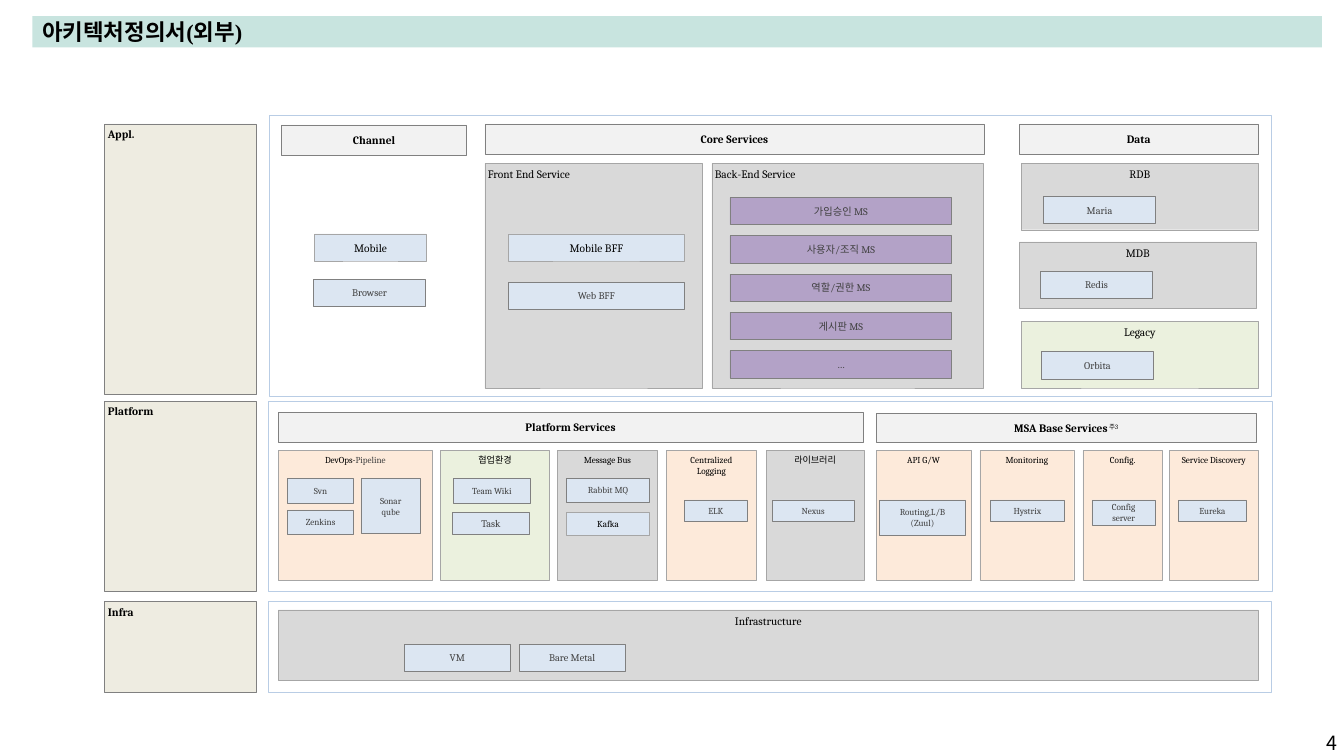
from dataclasses import dataclass

from pptx import Presentation
from pptx.dml.color import RGBColor
from pptx.enum.shapes import MSO_SHAPE
from pptx.enum.text import MSO_ANCHOR, MSO_AUTO_SIZE, PP_ALIGN
from pptx.util import Inches, Pt

RECT = MSO_SHAPE.RECTANGLE
TOP, MIDDLE = MSO_ANCHOR.TOP, MSO_ANCHOR.MIDDLE
LEFT, CENTER, RIGHT = PP_ALIGN.LEFT, PP_ALIGN.CENTER, PP_ALIGN.RIGHT
NO_FIT = MSO_AUTO_SIZE.NONE


@dataclass(frozen=True)
class Theme:
    """Colours, fonts and type sizes of the slide."""
    title_bar: str = "C8E4DF"
    frame: str = "B9CDE5"
    header: str = "F2F2F2"
    stage: str = "EEECE1"
    grey: str = "D9D9D9"
    green: str = "EBF1DE"
    orange: str = "FDEADA"
    blue: str = "DCE6F2"
    purple: str = "B3A2C7"
    strong_line: str = "808080"
    soft_line: str = "A6A6A6"
    black: str = "000000"
    dark: str = "404040"
    font: str = "Cambria"
    title_font: str = "Times New Roman"
    number_font: str = "Noto Sans CJK KR"
    title: float = 16
    number: float = 14
    large: float = 8.1
    medium: float = 7.3
    small: float = 6.5


T = Theme()


@dataclass(frozen=True)
class Box:
    """A rectangle in inches."""
    x: float
    y: float
    w: float
    h: float

    def sub(self, x, y, w, h):
        """Return a box placed relative to this one."""
        return Box(self.x + x, self.y + y, w, h)

    def lengths(self):
        """Return the four lengths for a shape call."""
        return [Inches(v) for v in (self.x, self.y, self.w, self.h)]


def style_run(r, size, color, bold=False, font=T.font):
    """Format one run."""
    r.font.name = font
    r.font.size = Pt(size)
    r.font.bold = bold
    r.font.color.rgb = RGBColor.from_string(color)


def rect(s, box, line, width, fill=None):
    """Add a rectangle with an optional fill."""
    sp = s.shapes.add_shape(RECT, *box.lengths())
    sp.shadow.inherit = False
    if fill:
        sp.fill.solid()
        sp.fill.fore_color.rgb = RGBColor.from_string(fill)
    else:
        sp.fill.background()
    sp.line.color.rgb = RGBColor.from_string(line)
    sp.line.width = Pt(width)
    return sp


def label(sp, text, size, color, bold=False, anchor=MIDDLE, align=CENTER, inset=0.03):
    """Write a text in a shape and return its last paragraph."""
    tf = sp.text_frame
    tf.word_wrap = True
    tf.vertical_anchor = anchor
    tf.margin_left = tf.margin_right = Inches(0.03)
    tf.margin_top = tf.margin_bottom = Inches(inset)
    tf.text = text
    for p in tf.paragraphs:
        p.alignment = align
        for r in p.runs:
            style_run(r, size, color, bold)
    return p


def frame(s, box):
    """Add the outline of a layer."""
    rect(s, box, T.frame, 0.75)


def header(s, box, text):
    """Add a bold column header."""
    return label(rect(s, box, T.strong_line, 0.5, T.header), text, T.large, T.black, True)


def stage(s, box, text):
    """Add the name block of a layer."""
    sp = rect(s, box, T.strong_line, 0.5, T.stage)
    label(sp, text, T.large, T.black, True, TOP, LEFT)


def panel(s, box, text, fill=T.grey, size=T.large, align=CENTER):
    """Add a group panel with its heading at the top."""
    sp = rect(s, box, T.soft_line, 0.25, fill)
    return label(sp, text, size, T.black, anchor=TOP, align=align, inset=0.04)


def item(s, box, text, size=T.medium, fill=T.blue):
    """Add a component box."""
    label(rect(s, box, T.strong_line, 0.5, fill), text, size, T.dark)


def key_item(s, box, text, size=T.large):
    """Add a component box with black text and a soft outline."""
    label(rect(s, box, T.soft_line, 0.25, T.blue), text, size, T.black, inset=0.04)


def title_bar(s, box, text):
    """Place and format the title placeholder."""
    sp = s.shapes.title
    sp.left, sp.top, sp.width, sp.height = box.lengths()
    sp.fill.solid()
    sp.fill.fore_color.rgb = RGBColor.from_string(T.title_bar)
    tf = sp.text_frame
    tf.text = text
    tf.auto_size = NO_FIT
    tf.vertical_anchor = MIDDLE
    p = tf.paragraphs[0]
    p.alignment = LEFT
    style_run(p.runs[0], T.title, T.black, True, T.title_font)


def page_number(s, box, text):
    """Add the page number."""
    tf = s.shapes.add_textbox(*box.lengths()).text_frame
    tf.word_wrap = True
    tf.vertical_anchor = MIDDLE
    tf.text = text
    p = tf.paragraphs[0]
    p.alignment = RIGHT
    style_run(p.runs[0], T.number, T.black, font=T.number_font)


def application_layer(s, box):
    """Draw channels, core services and data stores."""
    frame(s, box)
    header(s, box.sub(0.12, 0.09, 1.84, 0.3), "Channel")
    header(s, box.sub(2.14, 0.08, 4.95, 0.3), "Core Services")
    header(s, box.sub(7.44, 0.08, 2.37, 0.3), "Data")
    key_item(s, box.sub(0.45, 1.17, 1.11, 0.27), "Mobile")
    item(s, box.sub(0.44, 1.62, 1.11, 0.27), "Browser")

    front = box.sub(2.14, 0.47, 2.16, 2.23)
    panel(s, front, "Front End Service", align=LEFT)
    key_item(s, front.sub(0.23, 0.7, 1.75, 0.27), "Mobile BFF")
    item(s, front.sub(0.23, 1.18, 1.75, 0.27), "Web BFF")

    back = box.sub(4.39, 0.47, 2.69, 2.23)
    panel(s, back, "Back-End Service", align=LEFT)
    for i, name in enumerate(("가입승인 MS", "사용자/조직 MS", "역할/권한 MS", "게시판 MS", "…")):
        item(s, back.sub(0.18, 0.34 + 0.38 * i, 2.2, 0.27), name, fill=T.purple)

    for x, y, name, fill, dx, dy, store in (
            (7.46, 0.47, "RDB", T.grey, 0.22, 0.33, "Maria"),
            (7.44, 1.25, "MDB", T.grey, 0.21, 0.29, "Redis"),
            (7.46, 2.04, "Legacy", T.green, 0.2, 0.3, "Orbita")):
        data = box.sub(x, y, 2.35, 0.66)
        panel(s, data, name, fill)
        item(s, data.sub(dx, dy, 1.11, 0.27), store)


def platform_layer(s, box):
    """Draw platform services and MSA base services."""
    frame(s, box)
    header(s, box.sub(0.1, 0.11, 5.8, 0.3), "Platform Services")
    r = header(s, box.sub(6.03, 0.12, 3.77, 0.29), "MSA Base Services").add_run()
    r.text = " 주3"
    style_run(r, T.large, T.black)
    r.font._element.set("baseline", "30000")

    for x, w, name, fill, tools in (
            (0.1, 1.53, "DevOps-", T.orange, (
                ("Svn", 0.09, 0.28, 0.66, 0.24), ("Zenkins", 0.09, 0.59, 0.66, 0.24),
                ("Sonar\vqube", 0.82, 0.28, 0.59, 0.54))),
            (1.71, 1.08, "협업환경", T.green, (("Team Wiki", 0.13, 0.28, 0.76, 0.24),)),
            (2.87, 0.99, "Message Bus", T.grey, (("Rabbit MQ", 0.09, 0.28, 0.82, 0.23),)),
            (3.95, 0.89, "Centralized\nLogging", T.orange, (("ELK", 0.18, 0.49, 0.62, 0.21),)),
            (4.94, 0.97, "라이브러리", T.grey, (("Nexus", 0.06, 0.49, 0.81, 0.21),)),
            (6.03, 0.94, "API G/W", T.orange, (("Routing,L/B\n(Zuul)", 0.03, 0.49, 0.86, 0.35),)),
            (7.06, 0.93, "Monitoring", T.orange, (("Hystrix", 0.1, 0.49, 0.74, 0.21),)),
            (8.08, 0.79, "Config.", T.orange, (("Config\vserver", 0.09, 0.49, 0.63, 0.25),)),
            (8.94, 0.88, "Service Discovery", T.orange, (("Eureka", 0.09, 0.49, 0.67, 0.21),))):
        group = box.sub(x, 0.49, w, 1.29)
        p = panel(s, group, name, fill, T.small)
        if name == "DevOps-":
            r = p.add_run()
            r.text = "Pipeline"
            style_run(r, T.small, T.dark)
        for tool, *place in tools:
            item(s, group.sub(*place), tool, T.small)
    item(s, box.sub(1.83, 1.1, 0.76, 0.22), "Task")
    key_item(s, box.sub(2.96, 1.1, 0.82, 0.23), "Kafka", T.small)


def infra_layer(s, box):
    """Draw the infrastructure layer."""
    frame(s, box)
    infra = box.sub(0.1, 0.08, 9.72, 0.7)
    panel(s, infra, "Infrastructure")
    for i, name in enumerate(("VM", "Bare Metal")):
        item(s, infra.sub(1.25 + 1.14 * i, 0.34, 1.05, 0.27), name)


def main():
    """Build the slide and save it."""
    prs = Presentation()
    prs.slide_width, prs.slide_height = Inches(13.33), Inches(7.5)
    s = prs.slides.add_slide(prs.slide_layouts[5])
    title_bar(s, Box(0.32, 0.16, 12.79, 0.31), "아키텍처정의서(외부)")
    for name, y, h in (("Appl.", 1.23, 2.68), ("Platform", 3.98, 1.89), ("Infra", 5.97, 0.9)):
        stage(s, Box(1.04, y, 1.5, h), name)
    application_layer(s, Box(2.67, 1.15, 9.94, 2.78))
    platform_layer(s, Box(2.66, 3.98, 9.96, 1.89))
    infra_layer(s, Box(2.66, 5.97, 9.95, 0.9))
    page_number(s, Box(12.68, 7.24, 0.68, 0.26), "4")
    prs.save("out.pptx")


if __name__ == "__main__":
    main()
